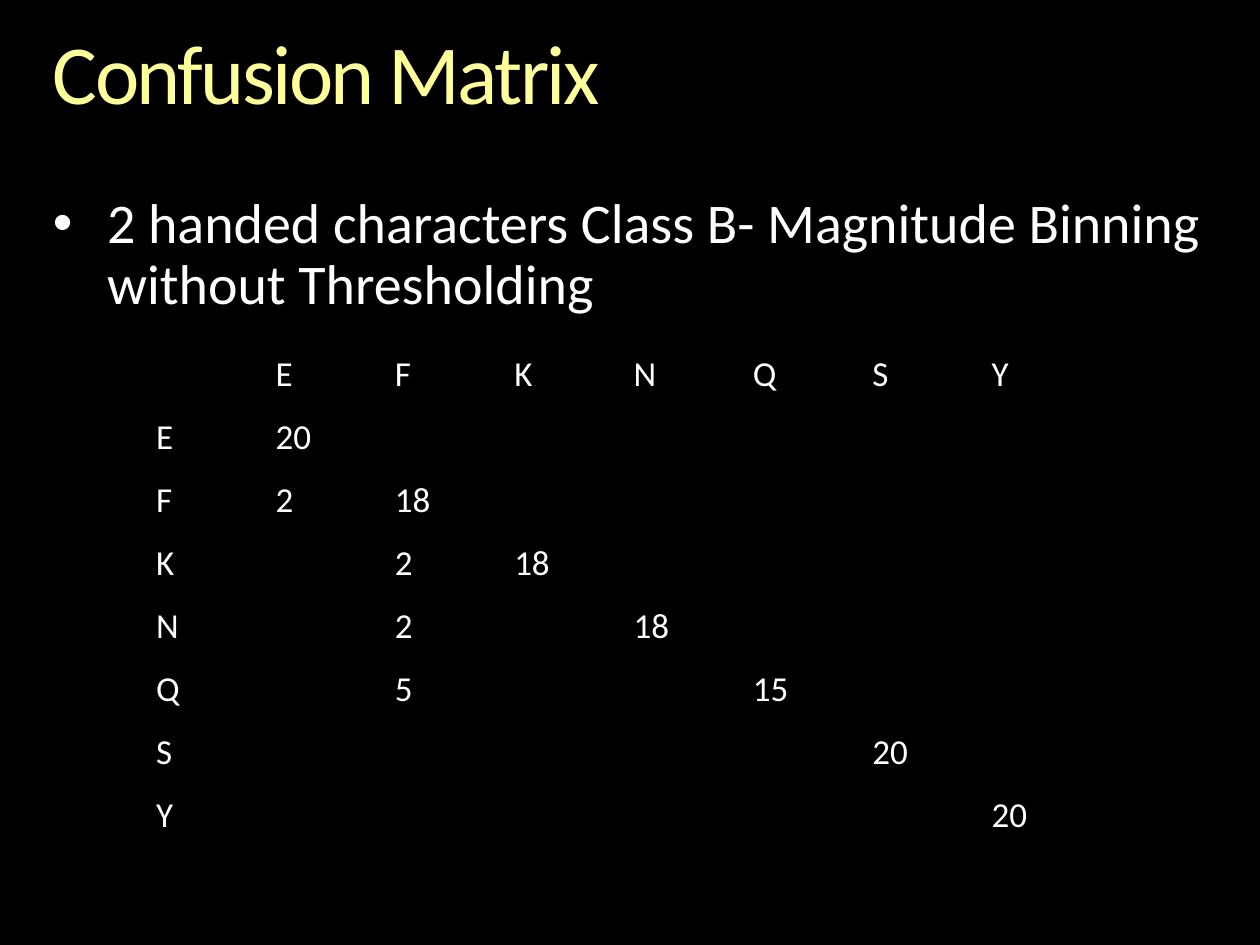
from pptx import Presentation
from pptx.dml.color import RGBColor
from pptx.enum import text
from pptx.oxml import parse_xml
from pptx.oxml.ns import nsdecls
from pptx.util import Inches, Pt

# Content
TITLE = "Confusion Matrix"
BULLET = "2 handed characters Class B- Magnitude Binning without Thresholding"
CLASSES = ["E", "F", "K", "N", "Q", "S", "Y"]
COUNTS = {  # (actual, predicted): count
    ("E", "E"): 20,
    ("F", "E"): 2, ("F", "F"): 18,
    ("K", "F"): 2, ("K", "K"): 18,
    ("N", "F"): 2, ("N", "N"): 18,
    ("Q", "F"): 5, ("Q", "Q"): 15,
    ("S", "S"): 20,
    ("Y", "Y"): 20,
}

# Style
FONT = "Calibri"
BLACK = RGBColor(0x00, 0x00, 0x00)
WHITE = RGBColor(0xFF, 0xFF, 0xFF)
YELLOW = RGBColor(0xFF, 0xFF, 0x99)
TABLE_LEFT, TABLE_TOP, TABLE_WIDTH, ROW_HEIGHT = 1.17, 2.75, 7.58, 0.5


def write(tf, content, size, color=WHITE, line_spacing=0.9, char_spacing=None):
    p = tf.paragraphs[0]
    p.alignment = text.PP_ALIGN.LEFT
    p.line_spacing = line_spacing
    p.space_before = Pt(0)
    r = p.add_run()
    r.text = content
    r.font.name, r.font.size = FONT, Pt(size)
    r.font.color.rgb = color
    if char_spacing is not None:
        r.font._element.set("spc", str(int(char_spacing * 100)))
    return p


def place(sp, left, top, width, height):
    sp.left, sp.top = Inches(left), Inches(top)
    sp.width, sp.height = Inches(width), Inches(height)
    tf = sp.text_frame
    tf.word_wrap = True
    tf.auto_size = text.MSO_AUTO_SIZE.NONE
    tf.vertical_anchor = text.MSO_ANCHOR.TOP
    tf.margin_left = tf.margin_right = tf.margin_top = tf.margin_bottom = 0
    return tf


def style_cell(cell):
    for side in ("lnL", "lnR", "lnT", "lnB"):
        cell._tc.get_or_add_tcPr().append(parse_xml(
            f'<a:{side} {nsdecls("a")} w="{Pt(1)}"><a:solidFill>'
            f'<a:srgbClr val="{BLACK}"/></a:solidFill></a:{side}>'))
    cell.fill.background()
    cell.margin_left = cell.margin_right = Inches(0.07)
    cell.margin_top = cell.margin_bottom = 0


prs = Presentation()
prs.slide_width, prs.slide_height = Inches(10), Inches(7.5)
s = prs.slides.add_slide(prs.slide_layouts[1])
s.background.fill.solid()
s.background.fill.fore_color.rgb = BLACK

# Title and bullet
write(place(s.shapes.title, 0.42, 0.25, 9.17, 0.73), TITLE, 48, YELLOW,
      char_spacing=-1.5)
p = write(place(s.placeholders[1], 0.42, 1.55, 9.17, 0.97), BULLET, 32)
pPr = p._p.get_or_add_pPr()
pPr.set("marL", str(Inches(0.43)))
pPr.set("indent", str(-Inches(0.43)))
pPr.append(parse_xml(f'<a:buChar {nsdecls("a")} char="•"/>'))

# Confusion matrix: header row, then one row per actual class
rows = [[""] + CLASSES] + [
    [actual] + [COUNTS.get((actual, predicted), "") for predicted in CLASSES]
    for actual in CLASSES]
n = len(rows)
table = s.shapes.add_table(n, n, Inches(TABLE_LEFT), Inches(TABLE_TOP),
                           Inches(TABLE_WIDTH), Inches(ROW_HEIGHT * n)).table
table.first_row = table.horz_banding = False
for i, row in enumerate(rows):
    for j, value in enumerate(row):
        cell = table.cell(i, j)
        style_cell(cell)
        if value != "":
            write(cell.text_frame, str(value), 20, line_spacing=1.15)

prs.save("out.pptx")
